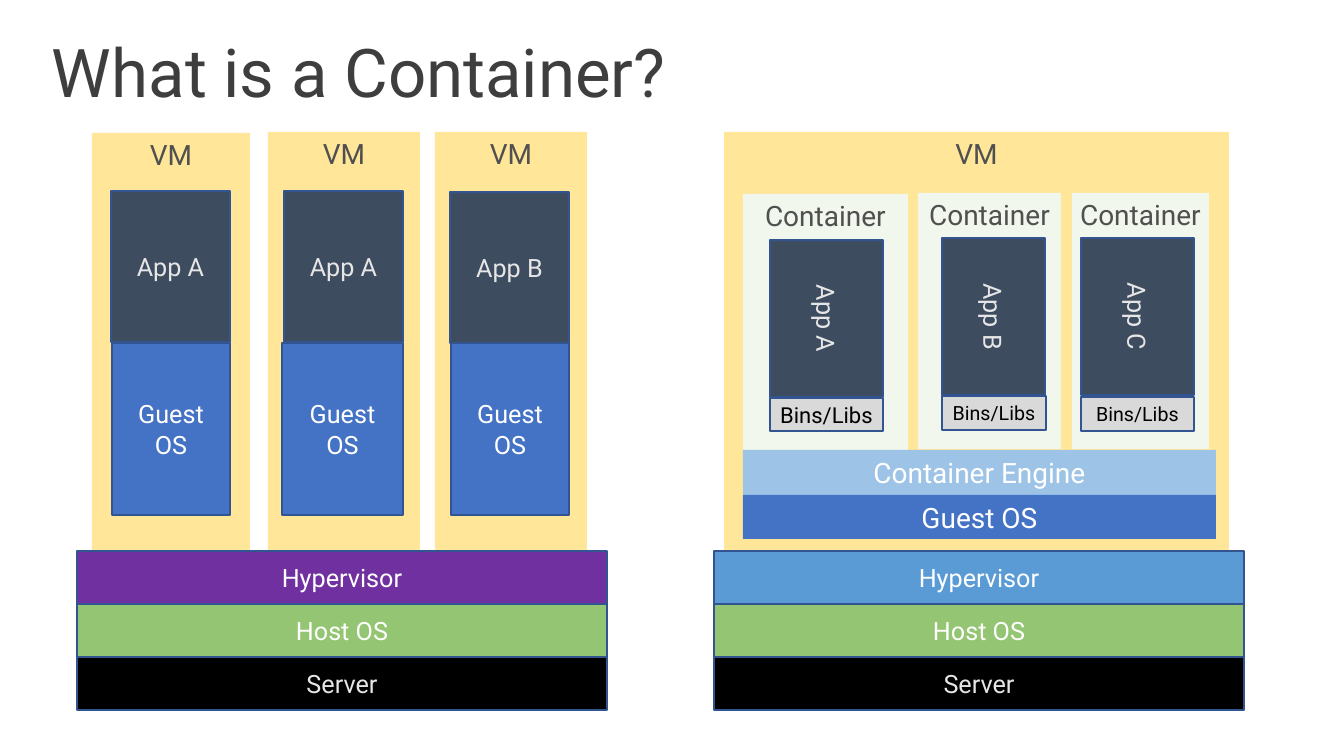
import pptx
import pptx.dml.color
import pptx.enum.shapes
import pptx.enum.text
import pptx.util

EMU_PER_PX = 914400 / 100.8
FONT = "Roboto"
COLORS = {
    "title": "3E3E3E", "heading": "505050", "white": "FFFFFF", "pale": "E7E6E6",
    "black": "000000", "outline": "325491", "vm": "FFE699", "container": "F1F7EC",
    "app": "3D4C5F", "guest": "4472C4", "engine": "9DC3E6", "bins": "D9D9D9",
    "host": "93C572", "purple": "7030A0", "blue": "5B9BD5",
}

TITLE = "What is a Container?"
# Each box is (left, top, width, height) in px.
VIRTUAL_MACHINES = [
    {"vm": (92, 133, 158, 418), "app": (111, 191, 119, 151),
     "guest": (112, 343, 118, 172), "name": "App A"},
    {"vm": (268, 132, 152, 418), "app": (284, 191, 119, 151),
     "guest": (282, 343, 121, 172), "name": "App A"},
    {"vm": (435, 132, 152, 418), "app": (450, 192, 119, 151),
     "guest": (451, 343, 118, 172), "name": "App B"},
]
CONTAINER_VM = (724, 132, 505, 418)
CONTAINERS = [
    {"box": (743, 194, 165, 256), "app": (770, 240, 113, 157),
     "bins": (770, 398, 113, 33), "name": "App A", "bins_size": 15.7},
    {"box": (918, 193, 143, 256), "app": (942, 238, 103, 157),
     "bins": (942, 396, 104, 34), "name": "App B", "bins_size": 14},
    {"box": (1072, 193, 137, 256), "app": (1081, 238, 113, 157),
     "bins": (1081, 397, 113, 34), "name": "App C", "bins_size": 14},
]
CONTAINER_LAYERS = [
    ("Container Engine", "engine", (743, 450, 473, 45)),
    ("Guest OS", "guest", (743, 495, 473, 44)),
]
HOST_STACKS = [(77, "purple"), (714, "blue")]
STACK_TOP, STACK_WIDTH, LAYER_HEIGHT = 551, 530, 53


def px(length):
    return pptx.util.Emu(round(length * EMU_PER_PX))


def rgb(name):
    return pptx.dml.color.RGBColor.from_string(COLORS[name])


def add_run(paragraph, text, size, color):
    run = paragraph.add_run()
    run.text = text
    run.font.name = FONT
    run.font.size = pptx.util.Pt(size)
    run.font.color.rgb = rgb(color)


def add_block(slide, box, text, fill, color="white", size=18, outlined=True,
              anchor=pptx.enum.text.MSO_ANCHOR.MIDDLE, wrap=True, rotated=False):
    """Add a filled rectangle; blocks without an outline have no side insets."""
    block = slide.shapes.add_shape(
        pptx.enum.shapes.MSO_SHAPE.RECTANGLE, *map(px, box))
    block.shadow.inherit = False
    block.fill.solid()
    block.fill.fore_color.rgb = rgb(fill)
    frame = block.text_frame
    frame.word_wrap = wrap
    frame.vertical_anchor = anchor
    if outlined:
        block.line.color.rgb = rgb("outline")
        block.line.width = pptx.util.Pt(1)
    else:
        block.line.fill.background()
        frame.margin_left = frame.margin_right = 0
    if rotated:
        block.element.txBody.bodyPr.set("vert", "vert")
    paragraph = frame.paragraphs[0]
    paragraph.alignment = pptx.enum.text.PP_ALIGN.CENTER
    add_run(paragraph, text, size, color)


def add_enclosure(slide, box, text, fill):
    add_block(slide, box, text, fill, "heading", 20, outlined=False,
              anchor=pptx.enum.text.MSO_ANCHOR.TOP)


def add_title(slide):
    title = slide.shapes.title
    title.left, title.top, title.width, title.height = map(px, (52, 39, 1033, 74))
    frame = title.text_frame
    frame.word_wrap = True
    frame.vertical_anchor = pptx.enum.text.MSO_ANCHOR.MIDDLE
    frame.margin_left = frame.margin_right = frame.margin_top = frame.margin_bottom = 0
    paragraph = frame.paragraphs[0]
    paragraph.alignment = pptx.enum.text.PP_ALIGN.LEFT
    paragraph.line_spacing = 0.9
    add_run(paragraph, TITLE, 48, "title")


def add_virtual_machines(slide):
    for machine in VIRTUAL_MACHINES:
        add_enclosure(slide, machine["vm"], "VM", "vm")
        add_block(slide, machine["guest"], "Guest OS", "guest")
        add_block(slide, machine["app"], machine["name"], "app", "pale")


def add_containers(slide):
    add_enclosure(slide, CONTAINER_VM, "VM", "vm")
    for container in CONTAINERS:
        add_enclosure(slide, container["box"], "Container", "container")
        add_block(slide, container["bins"], "Bins/Libs", "bins", "black",
                  container["bins_size"], wrap=False)
        add_block(slide, container["app"], container["name"], "app", "pale",
                  rotated=True)
    for text, fill, box in CONTAINER_LAYERS:
        add_block(slide, box, text, fill, size=20, outlined=False)


def add_host_stacks(slide):
    for left, hypervisor_fill in HOST_STACKS:
        layers = [("Hypervisor", hypervisor_fill, "white"),
                  ("Host OS", "host", "white"),
                  ("Server", "black", "pale")]
        for row, (text, fill, color) in enumerate(layers):
            top = STACK_TOP + row * LAYER_HEIGHT
            add_block(slide, (left, top, STACK_WIDTH, LAYER_HEIGHT), text, fill, color)


def main():
    deck = pptx.Presentation()
    deck.slide_width, deck.slide_height = px(1344), px(756)
    slide = deck.slides.add_slide(deck.slide_layouts[5])
    add_title(slide)
    add_virtual_machines(slide)
    add_containers(slide)
    add_host_stacks(slide)
    deck.save("out.pptx")


if __name__ == "__main__":
    main()
